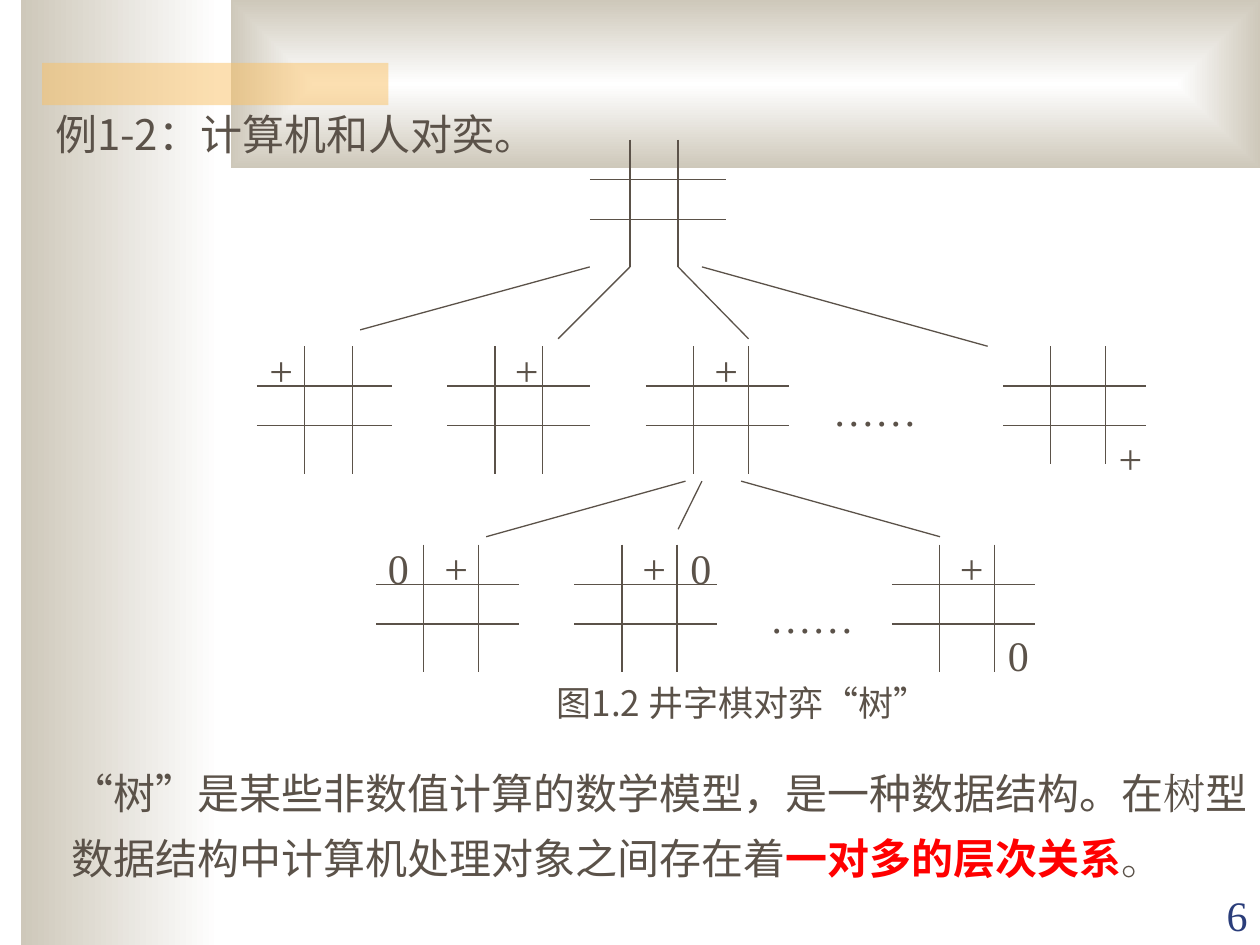
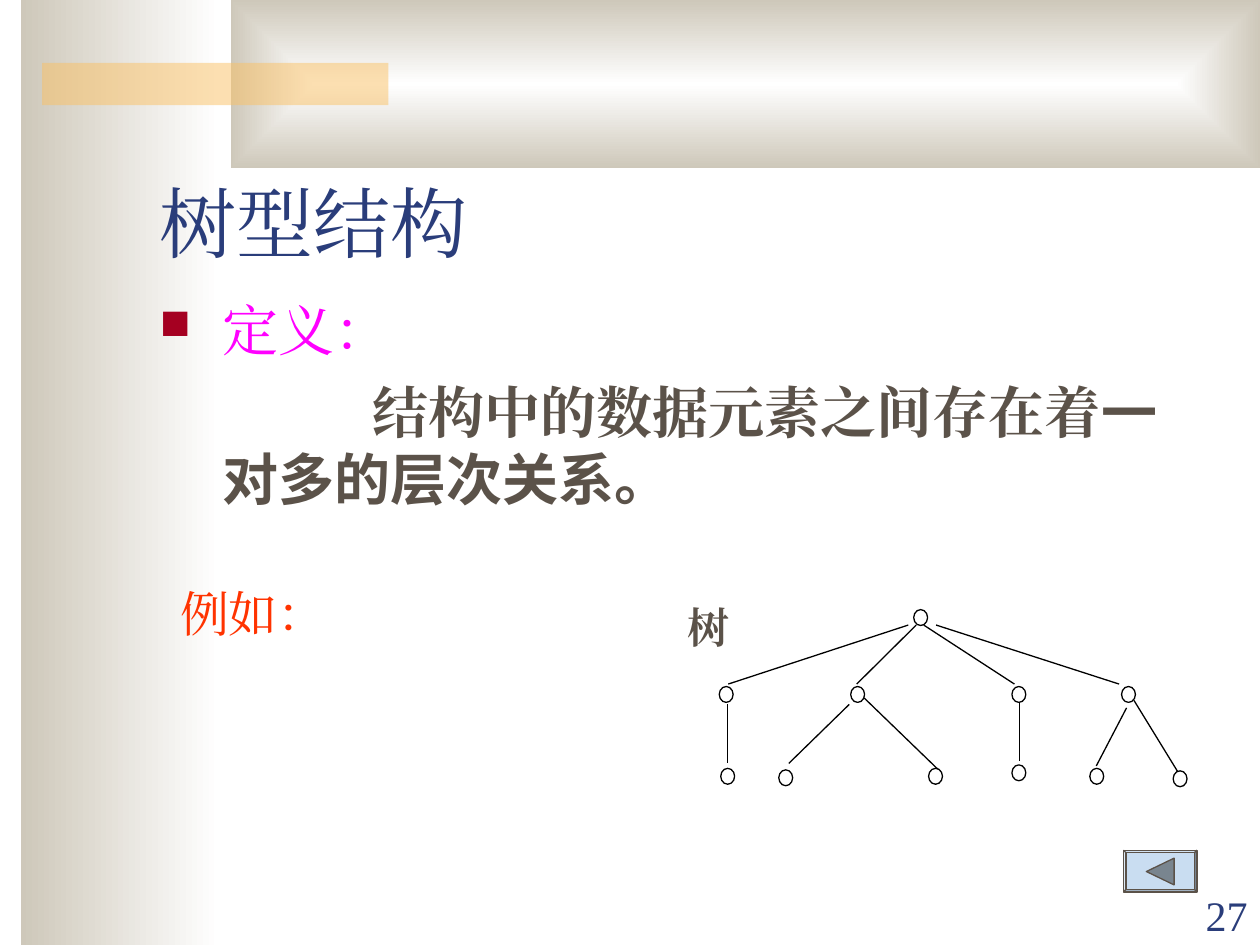
"""Build two slides on tree structures: the game tree and the definition."""
from lxml import etree
from pptx import Presentation, util as u
from pptx.dml.color import RGBColor
from pptx.enum import shapes as sh, text as tx
from pptx.oxml import ns

WHITE = RGBColor(0xFF, 0xFF, 0xFF)
BLACK = RGBColor(0, 0, 0)
SAND = RGBColor(0xCE, 0xC8, 0xBA)
GOLD = RGBColor(0xFA, 0xC1, 0x64)
BROWN = RGBColor(0x5B, 0x52, 0x49)
NAVY = RGBColor(0x2A, 0x3D, 0x7A)
RED = RGBColor(0xFF, 0, 0)
PINK = RGBColor(0xFF, 0, 0xFF)
FLAME = RGBColor(0xFF, 0x33, 0)
SKY = RGBColor(0xC9, 0xDD, 0xF1)
SLATE = RGBColor(0x79, 0x85, 0x8F)
SERIF = "Times New Roman"
SANS = "Noto Sans CJK SC"


def box(slide, left, top, wide, tall):
    frame = slide.shapes.add_textbox(u.Cm(left), u.Cm(top), u.Cm(wide), u.Cm(tall)).text_frame
    frame.word_wrap = True
    return frame


def ink(par, size, *runs):
    for words, face, hue, bold in runs:
        run = par.add_run()
        run.text = words
        font = run.font
        font.size, font.name, font.bold = u.Pt(size), face, bold
        font.color.rgb = hue
        etree.SubElement(run._r.rPr, ns.qn("a:ea"), typeface=face)


deck = Presentation()
deck.slide_width, deck.slide_height = u.Cm(25.4), u.Cm(19.05)
game = deck.slides.add_slide(deck.slide_layouts[6])
tree = deck.slides.add_slide(deck.slide_layouts[5])

bands = []
for left, top, wide, tall in [(0.42, 0, 4.02, 19.05), (4.65, 0, 20.75, 3.39), (0.85, 1.27, 6.98, 0.85)]:
    band = game.shapes.add_shape(sh.MSO_SHAPE.RECTANGLE, u.Cm(left), u.Cm(top), u.Cm(wide), u.Cm(tall))
    band.shadow.inherit = False
    band.line.fill.background()
    bands.append(band)
side, head, strip = bands
for band in (side, head):
    band.fill.gradient()
    band.fill.gradient_angle = 180
    for stop, hue, place in zip(band.fill.gradient_stops, (WHITE, SAND), (0, 1)):
        stop.color.rgb = hue
        stop.position = place
grad = head._element.spPr.find(ns.qn("a:gradFill"))
grad.remove(grad.find(ns.qn("a:lin")))
path = etree.SubElement(grad, ns.qn("a:path"), path="rect")
etree.SubElement(path, ns.qn("a:fillToRect"), l="50000", t="50000", r="50000", b="50000")
strip.fill.solid()
strip.fill.fore_color.rgb = GOLD
tint = strip._element.spPr.find(ns.qn("a:solidFill"))[0]
etree.SubElement(tint, ns.qn("a:alpha"), val="50000")
stack = deck.slide_master.element.cSld.spTree
for spot, band in enumerate(bands, 2):
    stack.insert(spot, band._element)

boards = [
    (11.89, 2.82, 2.74, 0.81, 0.97, 2.57),
    (5.18, 6.98, 2.72, 0.96, 0.96, 2.57),
    (9.02, 6.98, 2.88, 0.96, 0.96, 2.57),
    (13.02, 6.98, 2.88, 0.96, 1.11, 2.57),
    (20.22, 6.98, 2.88, 0.96, 1.11, 2.38),
    (7.58, 10.98, 2.88, 0.96, 1.11, 2.57),
    (11.58, 10.98, 2.88, 0.96, 1.11, 2.57),
    (17.98, 10.98, 2.88, 0.96, 1.11, 2.57),
]
strokes = []
for left, top, wide, inset, gap, tall in boards:
    for step in (1, 2):
        row = top + 0.8 * step
        col = left + inset + gap * (step - 1)
        strokes += [(left, row, left + wide, row), (col, top, col, top + tall)]
strokes += [
    (11.89, 5.38, 7.26, 6.65),
    (12.7, 5.38, 11.25, 6.83),
    (13.67, 5.38, 15.09, 6.83),
    (14.15, 5.38, 19.91, 6.98),
    (13.82, 9.7, 9.8, 10.82),
    (14.15, 9.7, 13.67, 10.67),
    (14.94, 9.7, 18.95, 10.82),
]
edges = [
    (14.68, 13.79, 18.31, 12.6),
    (18.87, 12.6, 22.56, 13.79),
    (18.47, 12.6, 17.27, 13.79),
    (18.62, 12.6, 20.45, 13.79),
    (14.66, 14.2, 14.66, 15.39),
    (17.12, 14.2, 15.9, 15.39),
    (17.42, 14.07, 18.92, 15.52),
    (20.55, 14.15, 20.55, 15.34),
    (22.71, 14.27, 22.1, 15.44),
    (22.86, 14.12, 23.75, 15.57),
]
for slide, hue, lines in ((game, BROWN, strokes), (tree, BLACK, edges)):
    for ends in lines:
        line = slide.shapes.add_connector(sh.MSO_CONNECTOR.STRAIGHT, *[u.Cm(end) for end in ends])
        line.line.color.rgb = hue
        line.line.width = u.Pt(0.75)
        etree.SubElement(line._element.spPr, ns.qn("a:effectLst"))

marks = [
    ("+", 5.18, 6.83), ("+", 10.13, 6.83), ("+", 14.15, 6.83), ("+", 22.3, 8.59),
    ("……", 16.54, 7.62),
    ("+", 8.71, 10.82), ("+", 12.7, 10.82), ("+", 19.1, 10.82),
    ("……", 15.27, 11.79),
    ("0", 7.57, 10.82), ("0", 13.67, 10.82), ("0", 20.07, 12.57),
]
for sign, left, top in marks:
    frame = box(game, left, top, 3.84 if sign == "……" else 0.8, 1.27)
    ink(frame.paragraphs[0], 24, (sign, SERIF, BROWN, False))

frame = box(game, 10.97, 13.61, 8.1, 1.96)
ink(frame.paragraphs[0], 20, ("图1.2 井字棋对弈“树”", SANS, BROWN, False))
frame = box(game, 0.86, 2.06, 10.9, 1.27)
ink(frame.paragraphs[0], 24, ("例1-2：计算机和人对奕。", SANS, BROWN, False))
par = box(game, 1.19, 15.04, 24.21, 2.9).paragraphs[0]
par.line_spacing = 1.3
ink(
    par, 24,
    ("“树”是某些非数值计算的数学模型，是一种数据结构。在", SANS, BROWN, False),
    ("树", SERIF, BROWN, False),
    ("型数据结构中计算机处理对象之间存在着", SANS, BROWN, False),
    ("一对多的层次关系", SANS, RED, True),
    ("。", SERIF, BROWN, False),
)

title = tree.shapes.title
title.left, title.top, title.width, title.height = u.Cm(2.97), u.Cm(2.34), u.Cm(21.59), u.Cm(3.18)
frame = title.text_frame
frame.auto_size = tx.MSO_AUTO_SIZE.NONE
frame.vertical_anchor = tx.MSO_ANCHOR.BOTTOM
par = frame.paragraphs[0]
par.alignment = tx.PP_ALIGN.LEFT
ink(par, 44, ("树型结构", SERIF, NAVY, False))

frame = box(tree, 2.97, 5.84, 21.59, 5.13)
term, sense = frame.paragraphs[0], frame.add_paragraph()
for par, dent in ((term, -1.27), (sense, 3.02)):
    prop = par._p.get_or_add_pPr()
    prop.set("marL", str(u.Cm(1.27)))
    prop.set("indent", str(u.Cm(dent)))
prop = term._p.get_or_add_pPr()
tone = etree.SubElement(prop, ns.qn("a:buClr"))
etree.SubElement(tone, ns.qn("a:srgbClr"), val="A50021")
etree.SubElement(prop, ns.qn("a:buSzPct"), val="75000")
etree.SubElement(prop, ns.qn("a:buChar"), char="■")
sense.space_before = u.Pt(8)
ink(term, 32, ("定义：", SERIF, PINK, False))
ink(
    sense, 32,
    ("结构中的数据元素之间存在着", SERIF, BROWN, True),
    ("一对多的层次关系。", SANS, BROWN, True),
)

frame = box(tree, 3.38, 11.63, 4.88, 1.45)
ink(frame.paragraphs[0], 28, ("例如：", SERIF, FLAME, False))
frame = box(tree, 13.61, 12.01, 1.68, 1.78)
ink(frame.paragraphs[0], 24, ("树", SERIF, BROWN, True))

nodes = [(18.42, 12.29)] + [(left, 13.84) for left in (14.5, 17.15, 20.4, 22.61)]
nodes += [(14.53, 15.49), (15.7, 15.52), (18.72, 15.49), (20.4, 15.42), (21.97, 15.49), (23.65, 15.54)]
parts = []
for left, top in nodes:
    node = tree.shapes.add_shape(sh.MSO_SHAPE.OVAL, u.Cm(left), u.Cm(top), u.Cm(0.28), u.Cm(0.32))
    parts.append((node, WHITE, BLACK))

key = tree.shapes.add_shape(sh.MSO_SHAPE.BEVEL, u.Cm(22.65), u.Cm(17.14), u.Cm(1.48), u.Cm(0.84))
key.adjustments[0] = 0.06
pen = tree.shapes.build_freeform(u.Cm(23.11), u.Cm(17.57))
pen.add_line_segments([(u.Cm(23.67), u.Cm(17.3)), (u.Cm(23.67), u.Cm(17.84))], close=True)
parts += [(key, SKY, BROWN), (pen.convert_to_shape(), SLATE, BROWN)]
for part, hue, rim in parts:
    part.shadow.inherit = False
    part.fill.solid()
    part.fill.fore_color.rgb = hue
    part.line.color.rgb = rim
    part.line.width = u.Pt(0.75)

for slide, page in ((game, "6"), (tree, "27")):
    frame = box(slide, 22.86, 17.81, 2.54, 1.27)
    frame.vertical_anchor = tx.MSO_ANCHOR.BOTTOM
    par = frame.paragraphs[0]
    par.alignment = tx.PP_ALIGN.RIGHT
    ink(par, 24, (page, SERIF, NAVY, False))

deck.save("out.pptx")
